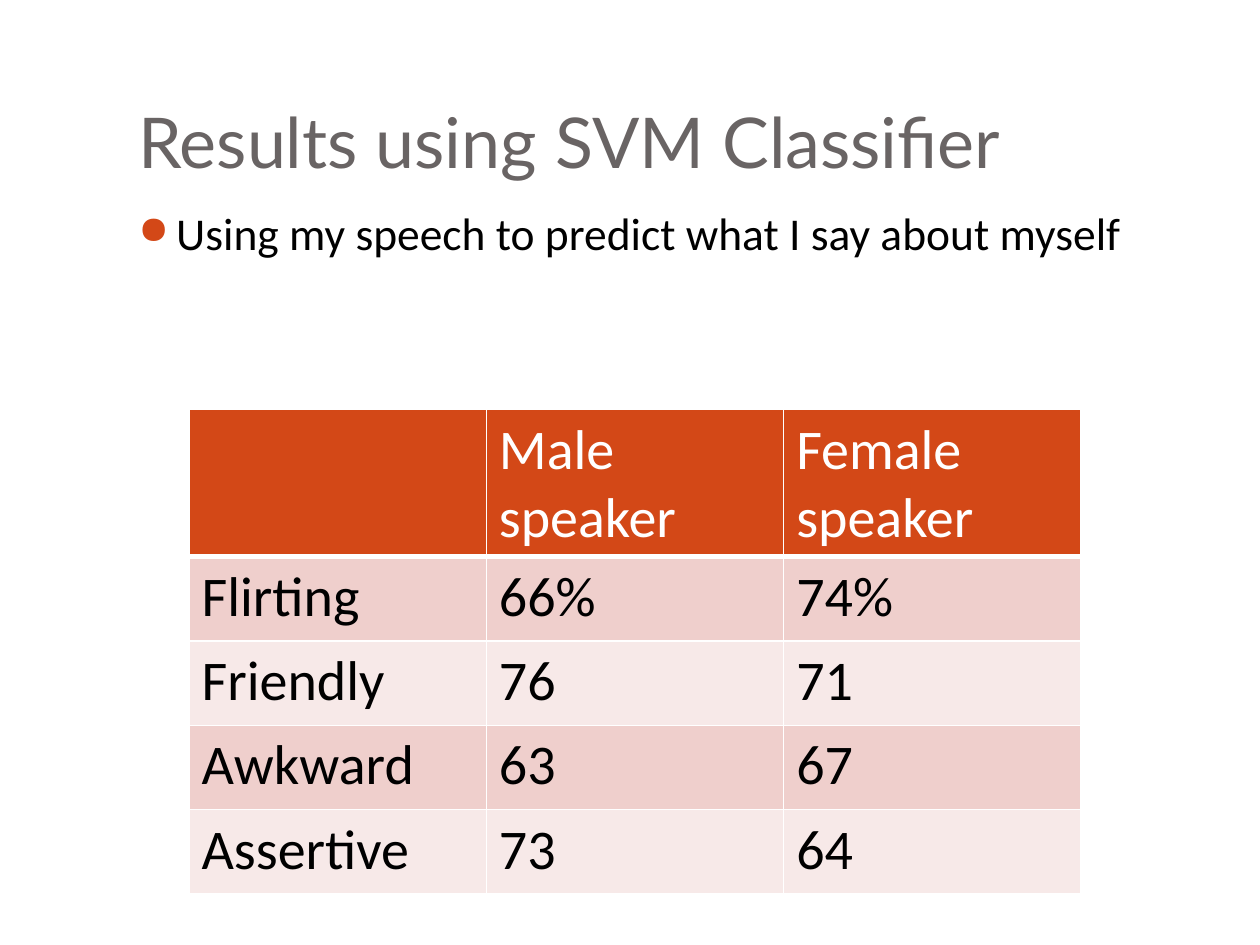
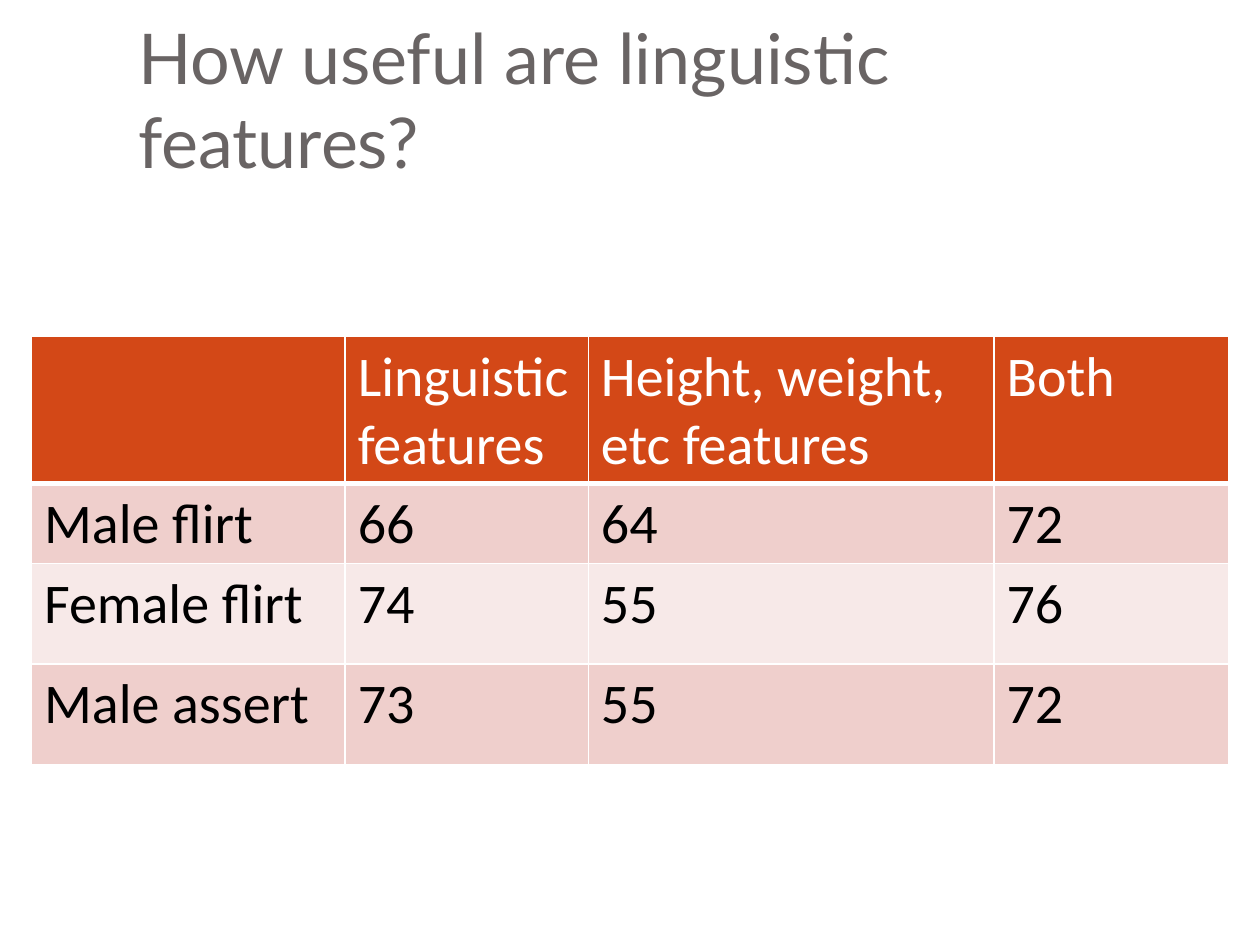
from pptx import Presentation
from pptx.dml.color import RGBColor
from pptx.enum.text import MSO_ANCHOR
from pptx.oxml import parse_xml
from pptx.oxml.ns import nsdecls
from pptx.util import Inches, Pt

BOTTOM, TOP = MSO_ANCHOR.BOTTOM, MSO_ANCHOR.TOP

# Content: table places are inches
SLIDES = [
    {
        "title": "Results using SVM Classifier",
        "point": "Using my speech to predict what I say about myself",
        "results": [
            ("", "Male speaker", "Female speaker"),
            ("Flirting", "66%", "74%"),
            ("Friendly", "76", "71"),
            ("Awkward", "63", "67"),
            ("Assertive", "73", "64"),
        ],
        "corner": (1.5, 3.25),
        "columns": [2.36] * 3,
        "rows": [1.16] + [0.67] * 4,
    },
    {
        "title": "How useful are linguistic features?",
        "results": [
            ("", "Linguistic features", "Height, weight, etc features", "Both"),
            ("Male flirt", "66", "64", "72"),
            ("Female flirt", "74", "55", "76"),
            ("Male assert", "73", "55", "72"),
        ],
        "corner": (0.25, 2.67),
        "columns": [2.49, 1.93, 3.22, 1.86],
        "rows": [1.16, 0.58, 0.8, 0.8],
    },
]

# Shared look
COLORS = {
    "accent": "D34817", "title": "696464", "text": "000000",
    "white": "FFFFFF", "odd": "EFCFCC", "even": "F7E9E8",
}
FONTS = {
    "title": {"name": "Lato", "size": Pt(40)},
    "point": {"name": "Calibri", "size": Pt(26)},
    "results": {"name": "Calibri", "size": Pt(32)},
}
LEFT, WIDTH = 1, 8.5
TITLE_TOP, TITLE_HEIGHT = 0.3, 1.25
POINT_TOP, POINT_HEIGHT = 1.58, 5
POINT_INDENT = Inches(0.3)


def style_text(paragraph, text, role, color):
    run = paragraph.add_run()
    run.text = text
    for key, value in FONTS[role].items():
        setattr(run.font, key, value)
    run.font.color.rgb = RGBColor.from_string(COLORS[color])


def add_text(slide, top, height, anchor, bottom_margin):
    box = slide.shapes.add_textbox(*map(Inches, (LEFT, top, WIDTH, height)))
    frame = box.text_frame
    frame.word_wrap = True
    frame.vertical_anchor = anchor
    frame.margin_bottom = Inches(bottom_margin)
    return frame.paragraphs[0]


def add_bullet(paragraph):
    properties = paragraph._p.get_or_add_pPr()
    properties.set("marL", str(POINT_INDENT))
    properties.set("indent", str(-POINT_INDENT))
    for element in (
        f'<a:buClr {nsdecls("a")}><a:srgbClr val="{COLORS["accent"]}"/></a:buClr>',
        f'<a:buSzPct {nsdecls("a")} val="85000"/>',
        f'<a:buChar {nsdecls("a")} char="●"/>',
    ):
        properties.append(parse_xml(element))


def fill_cell(cell, color, bottom_width):
    """Draw white borders, then fill: borders come first in the cell XML."""
    properties = cell._tc.get_or_add_tcPr()
    for side, width in (("L", 1), ("R", 1), ("T", 1), ("B", bottom_width)):
        properties.append(parse_xml(
            f'<a:ln{side} {nsdecls("a")} w="{Pt(width)}"><a:solidFill>'
            f'<a:srgbClr val="{COLORS["white"]}"/></a:solidFill></a:ln{side}>'))
    cell.fill.solid()
    cell.fill.fore_color.rgb = RGBColor.from_string(COLORS[color])


def add_results(slide, content):
    results, columns, rows = (content[key] for key in ("results", "columns", "rows"))
    place = (*content["corner"], sum(columns), sum(rows))
    table = slide.shapes.add_table(
        len(rows), len(columns), *map(Inches, place)).table
    for column, width in zip(table.columns, columns):
        column.width = Inches(width)
    for number, (row, height, values) in enumerate(zip(table.rows, rows, results)):
        row.height = Inches(height)
        is_header = number == 0
        fill = "accent" if is_header else "odd" if number % 2 else "even"
        for cell, value in zip(row.cells, values):
            fill_cell(cell, fill, 3 if is_header else 1)
            if value:
                style_text(cell.text_frame.paragraphs[0], value, "results",
                           "white" if is_header else "text")


def main():
    deck = Presentation()
    deck.slide_width, deck.slide_height = Inches(10), Inches(7.5)
    blank = deck.slide_layouts[6]
    for content in SLIDES:
        slide = deck.slides.add_slide(blank)
        slide.background.fill.solid()
        slide.background.fill.fore_color.rgb = RGBColor.from_string(COLORS["white"])
        # Title
        title = add_text(slide, TITLE_TOP, TITLE_HEIGHT, BOTTOM, 0.1)
        style_text(title, content["title"], "title", "title")
        # Bullet point
        if "point" in content:
            point = add_text(slide, POINT_TOP, POINT_HEIGHT, TOP, 0.05)
            add_bullet(point)
            style_text(point, content["point"], "point", "text")
        # Table of results
        add_results(slide, content)
    deck.save("out.pptx")


if __name__ == "__main__":
    main()
